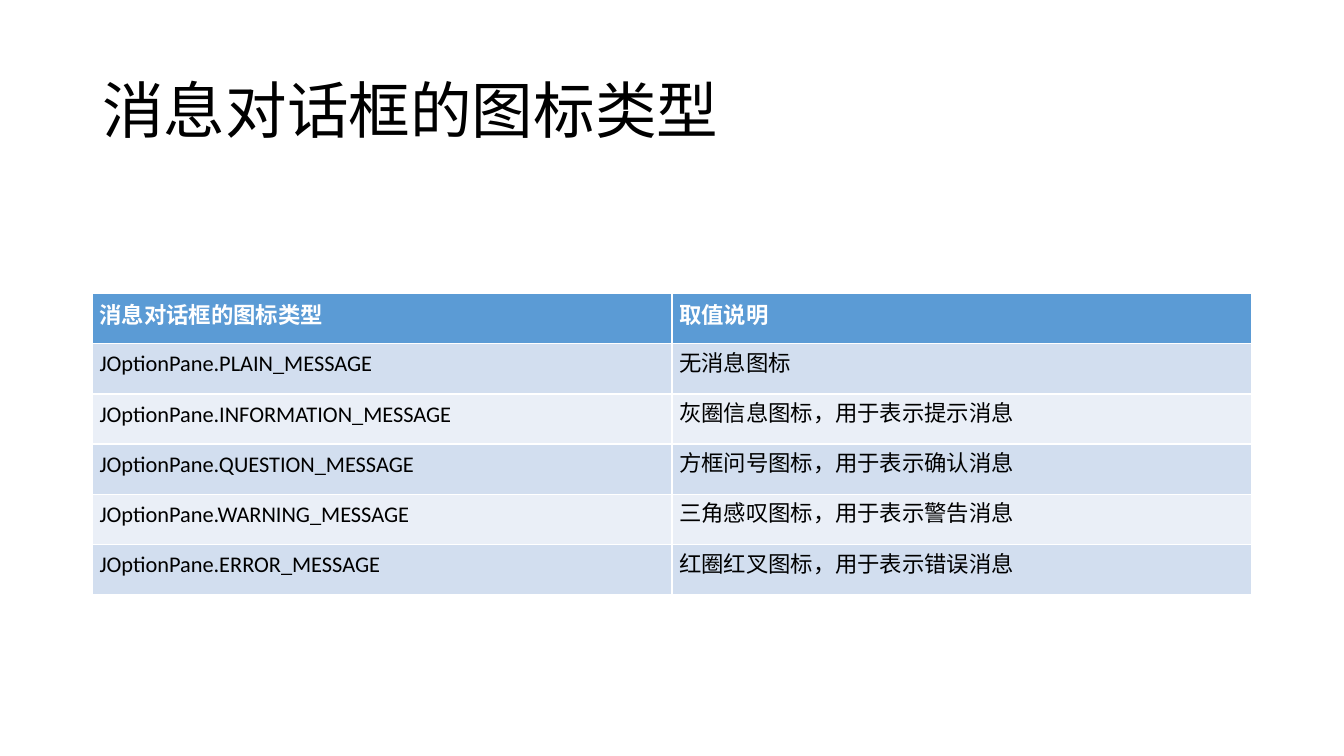
"""Build a slide with a table of message dialog icon types."""
from pptx import Presentation
from pptx import util as u
from pptx.dml.color import RGBColor
from pptx.enum import text


def write(tf, content, size, color, bold, spacing, align):
    tf.vertical_anchor = text.MSO_ANCHOR.MIDDLE
    p = tf.paragraphs[0]
    p.line_spacing = spacing
    p.alignment = align
    r = p.add_run()
    r.text = content
    for name, value in {"name": "Calibri", "size": u.Pt(size), "bold": bold}.items():
        setattr(r.font, name, value)
    r.font.color.rgb = RGBColor.from_string(color)


prs = Presentation()
prs.slide_width, prs.slide_height = u.Cm(33.87), u.Cm(19.05)
s = prs.slides.add_slide(prs.slide_layouts[6])

left, width = u.Cm(2.33), u.Cm(29.21)
heading = "消息对话框的图标类型"
title = s.shapes.add_textbox(left, u.Cm(1.01), width, u.Cm(3.68))
title.text_frame.word_wrap = True
write(title.text_frame, heading, 44, "000000", False, 0.9, text.PP_ALIGN.LEFT)

rows = [
    (heading, "取值说明"),
    ("JOptionPane.PLAIN_MESSAGE", "无消息图标"),
    ("JOptionPane.INFORMATION_MESSAGE", "灰圈信息图标，用于表示提示消息"),
    ("JOptionPane.QUESTION_MESSAGE", "方框问号图标，用于表示确认消息"),
    ("JOptionPane.WARNING_MESSAGE", "三角感叹图标，用于表示警告消息"),
    ("JOptionPane.ERROR_MESSAGE", "红圈红叉图标，用于表示错误消息"),
]
header_format = ("FFFFFF", True, u.Pt(15.6), text.PP_ALIGN.JUSTIFY)
body_format = ("000000", False, u.Pt(13), text.PP_ALIGN.LEFT)
margins = {"margin_left": u.Cm(0.18), "margin_right": u.Cm(0.18),
           "margin_top": 0, "margin_bottom": 0}

table = s.shapes.add_table(len(rows), 2, left, u.Cm(7.4), width, u.Cm(7.58)).table
for i, row in enumerate(rows):
    fill = "5B9BD5" if i == 0 else ("EAEFF7", "D2DEEF")[i % 2]
    for j, content in enumerate(row):
        cell = table.cell(i, j)
        cell.fill.solid()
        cell.fill.fore_color.rgb = RGBColor.from_string(fill)
        for name, value in margins.items():
            setattr(cell, name, value)
        cell.vertical_anchor = text.MSO_ANCHOR.MIDDLE
        write(cell.text_frame, content, 16, *(body_format if i else header_format))

prs.save("out.pptx")
